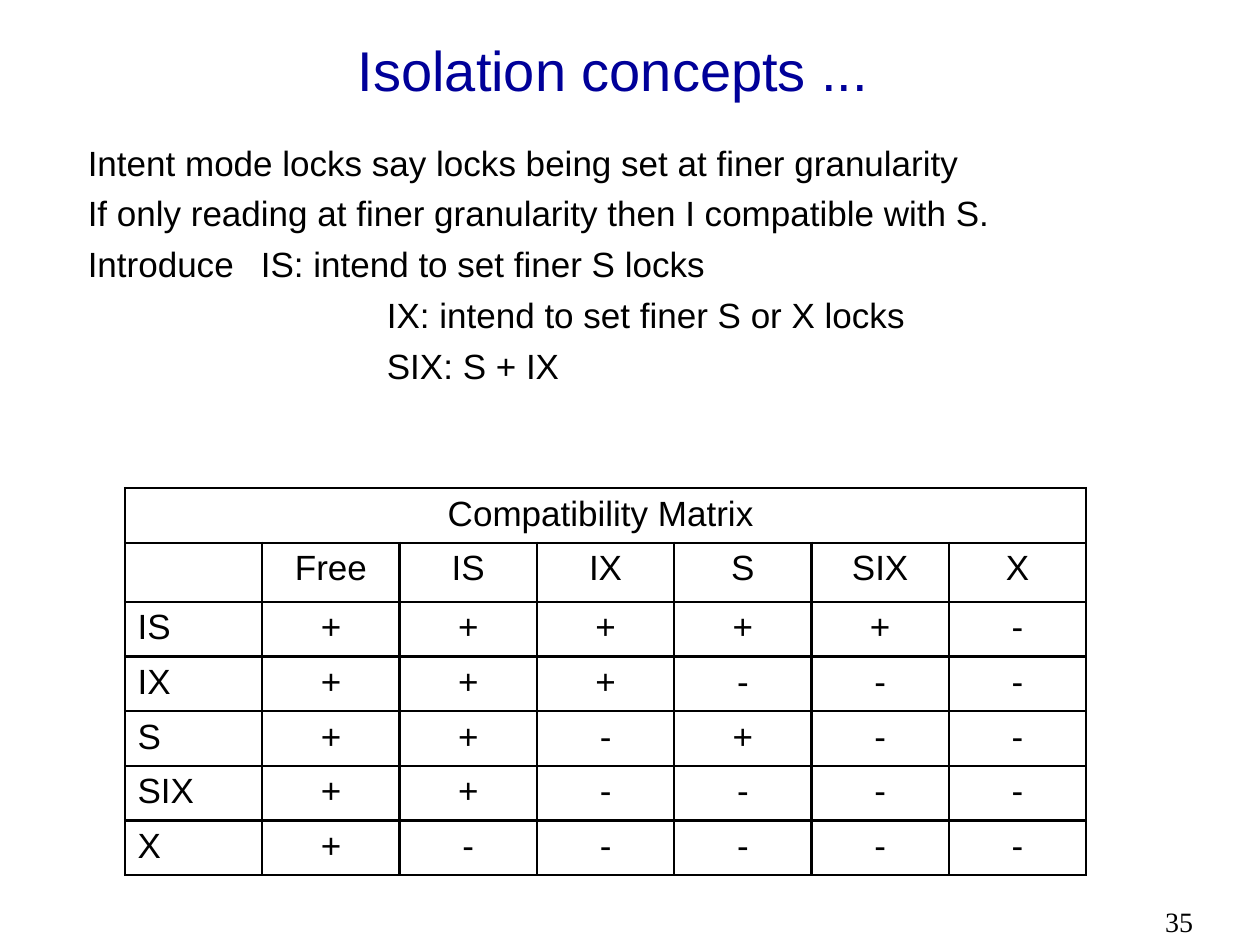
from lxml.etree import SubElement
from pptx import Presentation
from pptx.dml.color import RGBColor
from pptx.enum.text import MSO_ANCHOR, PP_ALIGN
from pptx.oxml.ns import qn
from pptx.util import Cm, Pt

COLORS = {"title": "000099", "text": "000000", "line": "000000"}
LINES = [
    "Intent mode locks say locks being set at finer granularity",
    "If only reading at finer granularity then I compatible with S.",
    "Introduce \tIS: intend to set finer S locks",
]
MODES = ["IX: intend to set finer S or X locks", "SIX: S + IX"]
HEADS = ["", "Free", "IS", "IX", "S", "SIX", "X"]
LOCKS = {"IS": "+++++-", "IX": "+++---", "S": "++-+--",
         "SIX": "++----", "X": "+-----"}


def style(para, size=20, face="Arial", color="text", align=PP_ALIGN.LEFT):
    para.alignment = align
    for run in para.runs:
        run.font.size = Pt(size)
        run.font.name = face
        run.font.color.rgb = RGBColor.from_string(COLORS[color])


def add_box(slide, box):
    frame = slide.shapes.add_textbox(*map(Cm, box)).text_frame
    frame.word_wrap = True
    return frame


def add_title(slide, box, text):
    title = slide.shapes.title
    title.left, title.top, title.width, title.height = map(Cm, box)
    frame = title.text_frame
    frame.text = text
    frame.vertical_anchor = MSO_ANCHOR.MIDDLE
    style(frame.paragraphs[0], 32, color="title", align=PP_ALIGN.CENTER)


def add_body(slide, box):
    frame = add_box(slide, box)
    frame.text = "\n".join(LINES + MODES)
    for i, para in enumerate(frame.paragraphs):
        props = para._p.get_or_add_pPr()
        if i >= len(LINES):
            props.set("marL", str(Cm(6.03)))
        elif "\t" in LINES[i]:
            tabs = SubElement(props, qn("a:tabLst"))
            SubElement(tabs, qn("a:tab"), pos=str(Cm(3.49)), algn="l")
        if i:
            para.space_before = Pt(5)
        style(para)


def add_border(cell):
    props = cell._tc.get_or_add_tcPr()
    for side in ("lnL", "lnR", "lnT", "lnB"):
        line = SubElement(props, qn("a:" + side), w=str(Pt(1.47)))
        fill = SubElement(line, qn("a:solidFill"))
        SubElement(fill, qn("a:srgbClr"), val=COLORS["line"])


def add_matrix(slide, box):
    rows = [["Compatibility Matrix "] + [""] * 6, HEADS]
    rows += [[name, *marks] for name, marks in LOCKS.items()]
    grid = slide.shapes.add_table(len(rows), len(HEADS), *map(Cm, box)).table
    grid.first_row = grid.horz_banding = False
    for col in grid.columns:
        col.width = Cm(box[2] / len(HEADS))
    for r, row in enumerate(rows):
        grid.rows[r].height = Cm(1.19 if r == 1 else 1.1)
        for c, text in enumerate(row):
            cell = grid.cell(r, c)
            add_border(cell)
            cell.fill.background()
            cell.text_frame.text = text
            align = PP_ALIGN.LEFT if r > 1 and c == 0 else PP_ALIGN.CENTER
            style(cell.text_frame.paragraphs[0], align=align)
    grid.cell(0, 0).merge(grid.cell(0, len(HEADS) - 1))


def add_number(slide, box, text):
    frame = add_box(slide, box)
    frame.text = text
    style(frame.paragraphs[0], 16, "Times New Roman")


def main():
    deck = Presentation()
    deck.slide_width, deck.slide_height = Cm(25.4), Cm(19.05)
    slide = deck.slides.add_slide(deck.slide_layouts[5])
    add_number(slide, (23.24, 18.11, 2.16, 0.94), "35")
    add_title(slide, (1.57, 0.51, 21.59, 1.75), "Isolation concepts ...")
    add_body(slide, (1.52, 2.72, 19.99, 5.33))
    add_matrix(slide, (2.52, 9.84, 19.38, 7.79))
    deck.save("out.pptx")


if __name__ == "__main__":
    main()
